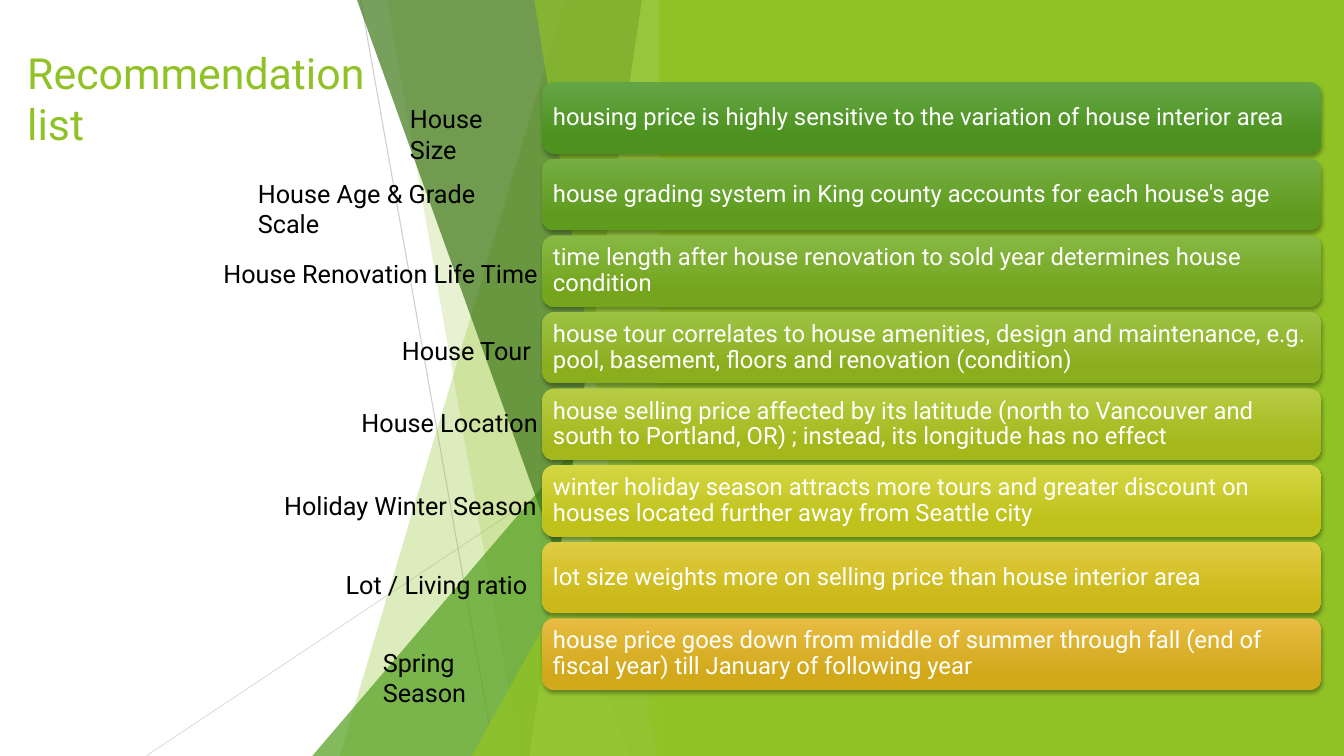
import dataclasses

import lxml.etree
import pptx
import pptx.dml.color
import pptx.enum.shapes
import pptx.enum.text
import pptx.oxml.ns
import pptx.shapes.autoshape
import pptx.shapes.base
import pptx.slide
import pptx.text.text
import pptx.util

Cm = pptx.util.Cm
Pt = pptx.util.Pt
Kind = pptx.enum.shapes.MSO_SHAPE
Anchor = pptx.enum.text.MSO_ANCHOR
FONT = "Roboto"
LIME = "90C226"
WIDE, HIGH = 33.87, 19.05
EDGE = 16.92
RISE = -0.02
PITCH = 1.93


@dataclasses.dataclass
class Ray:
    left: float
    top: float
    right: float
    foot: float
    tint: str
    alpha: int


@dataclasses.dataclass
class Shard:
    top: float
    foot: float
    tint: str
    alpha: int


@dataclasses.dataclass
class Wedge:
    left: float
    top: float
    tint: str
    alpha: int


@dataclasses.dataclass
class Row:
    label: str
    left: float
    top: float
    wide: float
    text: str
    light: str
    dark: str


RAYS = [
    Ray(9.09, 0, 12.47, HIGH, "BFBFBF", 75),
    Ray(EDGE, 10.24, 3.68, HIGH, "D9D9D9", 80),
]

FACETS = [
    Shard(14.25, 8.56, LIME, 30),
    Shard(9.75, 13.11, LIME, 20),
    Wedge(7.87, 8.46, "54A021", 72),
    Shard(8.99, 15.85, "3F7819", 70),
    Shard(16.18, 13.34, "C0E474", 70),
    Shard(13.46, 16.54, LIME, 65),
    Wedge(11.89, 9.98, LIME, 80),
]

ROWS = [
    Row("House Size", 10.08, 2.49, 3.6,
        "housing price is highly sensitive to the variation of house interior area",
        "63A545", "4D921E"),
    Row("House Age & Grade Scale", 6.25, 4.37, 7.67,
        "house grading system in King county accounts for each house's age",
        "74AE44", "5F9C1E"),
    Row("House Renovation Life Time", 5.38, 6.38, 8.56,
        "time length after house renovation to sold year determines house condition",
        "87B844", "74A51D"),
    Row("House Tour", 9.88, 8.33, 3.78,
        "house tour correlates to house amenities, design and maintenance, e.g. "
        "pool, basement, floors and renovation (condition)",
        "9DC244", "8BAE1D"),
    Row("House Location", 8.86, 10.13, 5.08,
        "house selling price affected by its latitude (north to Vancouver and "
        "south to Portland, OR) ; instead, its longitude has no effect",
        "B7CC44", "A4B81C"),
    Row("Holiday Winter Season", 6.91, 12.22, 7.04,
        "winter holiday season attracts more tours and greater discount on "
        "houses located further away from Seattle city",
        "D4D643", "C0C21B"),
    Row("Lot / Living ratio", 8.46, 14.22, 5.46,
        "lot size weights more on selling price than house interior area",
        "E0CC43", "CCB919"),
    Row("Spring Season", 9.4, 16.18, 4.55,
        "house price goes down from middle of summer through fall (end of "
        "fiscal year) till January of following year",
        "E7BC43", "D2A91B"),
]


def hue(code: str) -> pptx.dml.color.RGBColor:
    return pptx.dml.color.RGBColor.from_string(code)


def add_node(root: lxml.etree._Element, tag: str, **attrs: str) -> lxml.etree._Element:
    return lxml.etree.SubElement(root, pptx.oxml.ns.qn(tag), attrs)


def fade(shape: pptx.shapes.base.BaseShape, alpha: int) -> None:
    tone = shape.element.spPr.find(".//" + pptx.oxml.ns.qn("a:srgbClr"))
    add_node(tone, "a:alpha", val=str(alpha * 1000))


def fill(shape: pptx.shapes.autoshape.Shape, tint: str) -> None:
    shape.shadow.inherit = False
    shape.line.fill.background()
    shape.fill.solid()
    shape.fill.fore_color.rgb = hue(tint)


def write(frame: pptx.text.text.TextFrame, text: str, size: float, tint: str) -> None:
    frame.text = text
    frame.word_wrap = True
    line = frame.paragraphs[0]
    line.alignment = pptx.enum.text.PP_ALIGN.LEFT
    for run in line.runs:
        run.font.name = FONT
        run.font.size = Pt(size)
        run.font.color.rgb = hue(tint)


def draw_ray(slide: pptx.slide.Slide, ray: Ray) -> None:
    line = slide.shapes.add_connector(
        pptx.enum.shapes.MSO_CONNECTOR.STRAIGHT,
        Cm(ray.left), Cm(ray.top), Cm(ray.right), Cm(ray.foot))
    line.line.color.rgb = hue(ray.tint)
    line.line.width = Pt(0.75)
    fade(line, ray.alpha)
    add_node(line.element.spPr, "a:effectLst")


def draw_facet(slide: pptx.slide.Slide, facet: Shard | Wedge) -> None:
    if isinstance(facet, Wedge):
        shape = slide.shapes.add_shape(
            Kind.ISOSCELES_TRIANGLE, Cm(facet.left), Cm(facet.top),
            Cm(EDGE - facet.left), Cm(HIGH - facet.top))
        shape.adjustments[0] = 1
    else:
        pen = slide.shapes.build_freeform(Cm(facet.top), Cm(RISE))
        pen.add_line_segments([
            (Cm(EDGE), Cm(RISE)), (Cm(EDGE), Cm(HIGH)), (Cm(facet.foot), Cm(HIGH))])
        shape = pen.convert_to_shape()
    fill(shape, facet.tint)
    fade(shape, facet.alpha)


def draw_bar(slide: pptx.slide.Slide, row: Row, top: float) -> None:
    bar = slide.shapes.add_shape(
        Kind.ROUNDED_RECTANGLE, Cm(13.67), Cm(top), Cm(19.63), Cm(1.8))
    bar.line.fill.background()
    bar.fill.gradient()
    bar.fill.gradient_angle = 270
    for stop, tint, place in zip(bar.fill.gradient_stops, (row.light, row.dark), (0, 0.78)):
        stop.color.rgb = hue(tint)
        stop.position = place
    bar.shadow.inherit = False
    glow = bar.element.spPr.find(pptx.oxml.ns.qn("a:effectLst"))
    shade = add_node(glow, "a:outerShdw", blurRad=str(Pt(3)), dist=str(Pt(2)),
                     dir="5400000", algn="ctr", rotWithShape="0")
    tone = add_node(shade, "a:srgbClr", val="000000")
    add_node(tone, "a:alpha", val="35000")
    frame = bar.text_frame
    write(frame, row.text, 17, "FFFFFF")
    frame.vertical_anchor = Anchor.MIDDLE
    frame.margin_left = frame.margin_right = Cm(0.18)
    frame.margin_top = frame.margin_bottom = Cm(0.18)
    frame.paragraphs[0].line_spacing = 0.9


def draw_label(slide: pptx.slide.Slide, row: Row) -> None:
    box = slide.shapes.add_textbox(Cm(row.left), Cm(row.top), Cm(row.wide), Cm(1.02))
    write(box.text_frame, row.label, 18, "000000")
    box.text_frame.auto_size = pptx.enum.text.MSO_AUTO_SIZE.SHAPE_TO_FIT_TEXT


def main() -> None:
    deck = pptx.Presentation()
    deck.slide_width, deck.slide_height = Cm(WIDE), Cm(HIGH)
    slide = deck.slides.add_slide(deck.slide_layouts[5])

    title = slide.shapes.title
    title.left, title.top, title.width, title.height = Cm(0.43), Cm(1.14), Cm(9.86), Cm(2.64)
    write(title.text_frame, "Recommendation\vlist", 30.6, LIME)
    title.text_frame.vertical_anchor = Anchor.MIDDLE
    title.text_frame.auto_size = pptx.enum.text.MSO_AUTO_SIZE.NONE

    for ray in RAYS:
        draw_ray(slide, ray)
    for facet in FACETS:
        draw_facet(slide, facet)
    panel = slide.shapes.add_shape(Kind.RECTANGLE, Cm(16.61), 0, Cm(WIDE - 16.61), Cm(HIGH))
    fill(panel, LIME)

    for rank, row in enumerate(ROWS):
        draw_bar(slide, row, 2.07 + rank * PITCH)
    for row in ROWS:
        draw_label(slide, row)
    deck.save("out.pptx")


if __name__ == "__main__":
    main()
